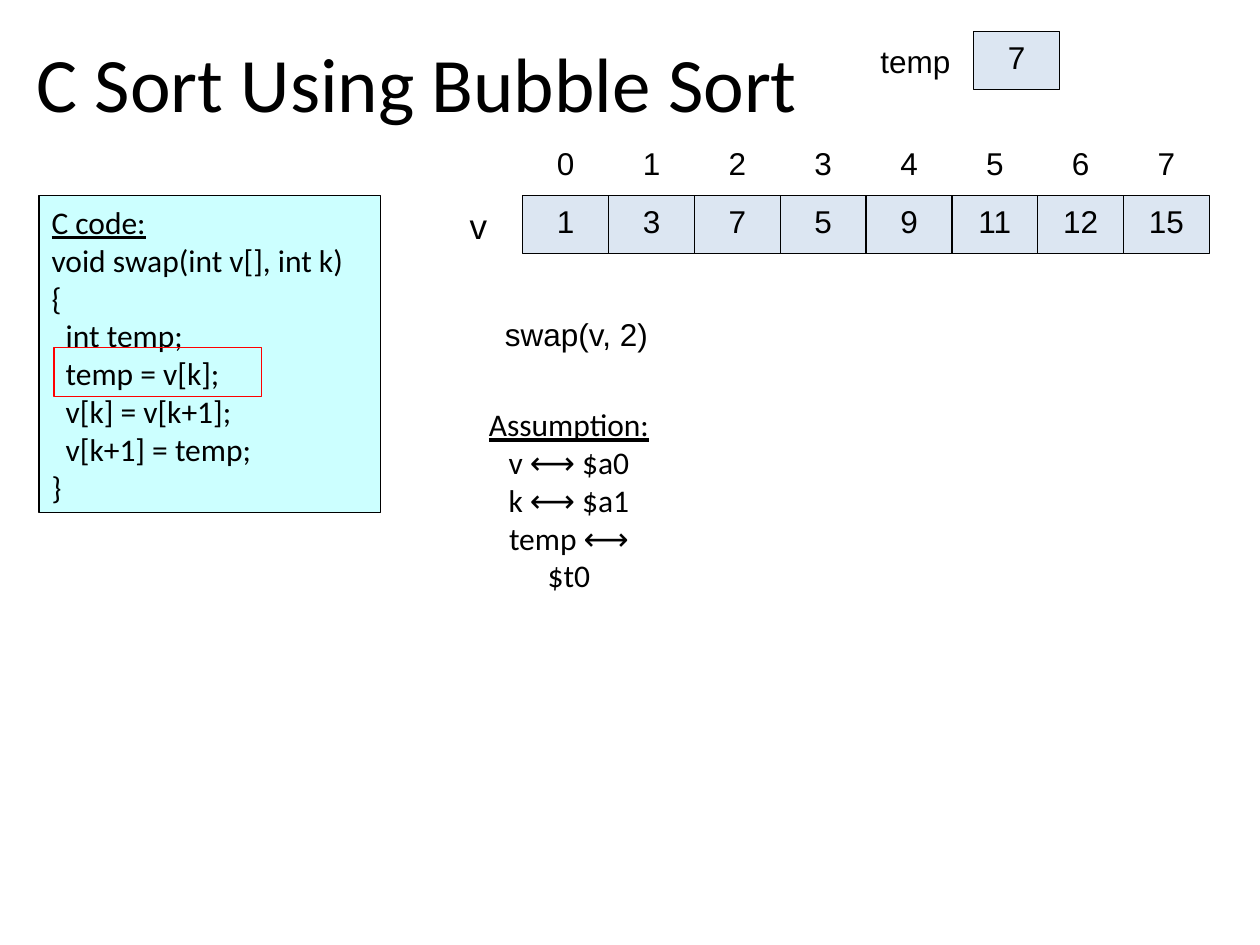
from dataclasses import dataclass

from pptx import Presentation
from pptx.dml.color import RGBColor
from pptx.enum.shapes import MSO_SHAPE
from pptx.enum.text import MSO_ANCHOR, MSO_AUTO_SIZE, PP_ALIGN
from pptx.util import Cm, Pt


@dataclass(frozen=True)
class Theme:
    heading_font: str = "Calibri"
    label_font: str = "Arial"
    text: RGBColor = RGBColor(0, 0, 0)
    cell: RGBColor = RGBColor(0xDC, 0xE6, 0xF2)
    code: RGBColor = RGBColor(0xCC, 0xFF, 0xFF)
    highlight: RGBColor = RGBColor(0xFF, 0, 0)
    title_size: Pt = Pt(44)
    name_size: Pt = Pt(20)
    body_size: Pt = Pt(18)
    line_width: Pt = Pt(0.75)


THEME = Theme()
CELL_WIDTH, CELL_HEIGHT = Cm(1.73), Cm(1.17)
CODE = "\v".join([
    "void swap(int v[], int k)",
    "{",
    "  int temp;",
    "  temp = v[k];",
    "  v[k] = v[k+1];",
    "  v[k+1] = temp;",
    "}",
])


def write(shape, text, font=THEME.label_font, size=THEME.body_size,
          align=PP_ALIGN.LEFT, anchor=MSO_ANCHOR.TOP, wrap=True):
    frame = shape.text_frame
    frame.text = text
    frame.word_wrap = wrap
    frame.auto_size = MSO_AUTO_SIZE.NONE
    frame.vertical_anchor = anchor
    for paragraph in frame.paragraphs:
        paragraph.alignment = align
        for run in paragraph.runs:
            run.font.name = font
            run.font.size = size
            run.font.color.rgb = THEME.text


def underline_heading(shape):
    shape.text_frame.paragraphs[0].runs[0].font.underline = True


def add_label(shapes, box, text, **style):
    label = shapes.add_textbox(*box)
    write(label, text, **style)
    return label


def add_rectangle(shapes, box, fill=None, line=THEME.text):
    rectangle = shapes.add_shape(MSO_SHAPE.RECTANGLE, *box)
    rectangle.shadow.inherit = False
    if fill is None:
        rectangle.fill.background()
    else:
        rectangle.fill.solid()
        rectangle.fill.fore_color.rgb = fill
    rectangle.line.color.rgb = line
    rectangle.line.width = THEME.line_width
    return rectangle


def add_cell(shapes, left, top, value):
    cell = add_rectangle(shapes, (left, top, CELL_WIDTH, CELL_HEIGHT), THEME.cell)
    write(cell, str(value), align=PP_ALIGN.CENTER)


def set_title(slide, box, text):
    title = slide.shapes.title
    title.left, title.top, title.width, title.height = box
    write(title, text, THEME.heading_font, THEME.title_size, anchor=MSO_ANCHOR.MIDDLE)


def add_assumption(slide, box):
    label = add_label(slide.shapes, box, "Assumption:\nv ⟷ $a0\nk ⟷ $a1\ntemp ⟷ $t0",
                      font=THEME.heading_font, align=PP_ALIGN.CENTER,
                      anchor=MSO_ANCHOR.MIDDLE)
    underline_heading(label)


def add_code(slide, box):
    """Place the listing and frame the statement being executed."""
    left, top, width, height = box
    listing = add_rectangle(slide.shapes, box, THEME.code)
    write(listing, "C code:\n" + CODE, THEME.heading_font, anchor=MSO_ANCHOR.MIDDLE)
    underline_heading(listing)
    add_rectangle(slide.shapes, (left + Cm(0.3), top + Cm(3.07), Cm(4.19), Cm(0.99)),
                  line=THEME.highlight)


def add_array(slide, left, top, name, values):
    """Place the array name, a row of indices and the row of cells below it."""
    shapes = slide.shapes.add_group_shape().shapes
    cells_left, cells_top = left + Cm(1.32), top + CELL_HEIGHT
    add_label(shapes, (left, cells_top + Cm(0.05), Cm(0.91), Cm(1.12)), name,
              size=THEME.name_size, wrap=False)
    for index, value in enumerate(values):
        cell_left = cells_left + index * CELL_WIDTH
        add_label(shapes, (cell_left, top, CELL_WIDTH, CELL_HEIGHT), str(index),
                  align=PP_ALIGN.CENTER)
        add_cell(shapes, cell_left, cells_top, value)


def add_variable(slide, left, top, name, value):
    shapes = slide.shapes.add_group_shape().shapes
    add_label(shapes, (left, top + Cm(0.08), Cm(1.93), Cm(1.02)), name, wrap=False)
    add_cell(shapes, left + Cm(2.13), top, value)


def main():
    presentation = Presentation()
    presentation.slide_width, presentation.slide_height = Cm(25.4), Cm(19.05)
    title_only = presentation.slide_layouts[5]
    slide = presentation.slides.add_slide(title_only)

    set_title(slide, (Cm(0.48), Cm(0.05), Cm(17.53), Cm(3.18)), "C Sort Using Bubble Sort")
    add_assumption(slide, (Cm(9.58), Cm(8.41), Cm(3.78), Cm(3.33)))
    add_code(slide, (Cm(0.79), Cm(3.94), Cm(6.88), Cm(6.4)))
    add_array(slide, Cm(9.22), Cm(2.77), "v", [1, 3, 7, 5, 9, 11, 12, 15])
    add_label(slide.shapes, (Cm(9.93), Cm(6.22), Cm(3.43), Cm(1.02)), "swap(v, 2)", wrap=False)
    add_variable(slide, Cm(17.5), Cm(0.64), "temp", 7)

    presentation.save("out.pptx")


if __name__ == "__main__":
    main()
